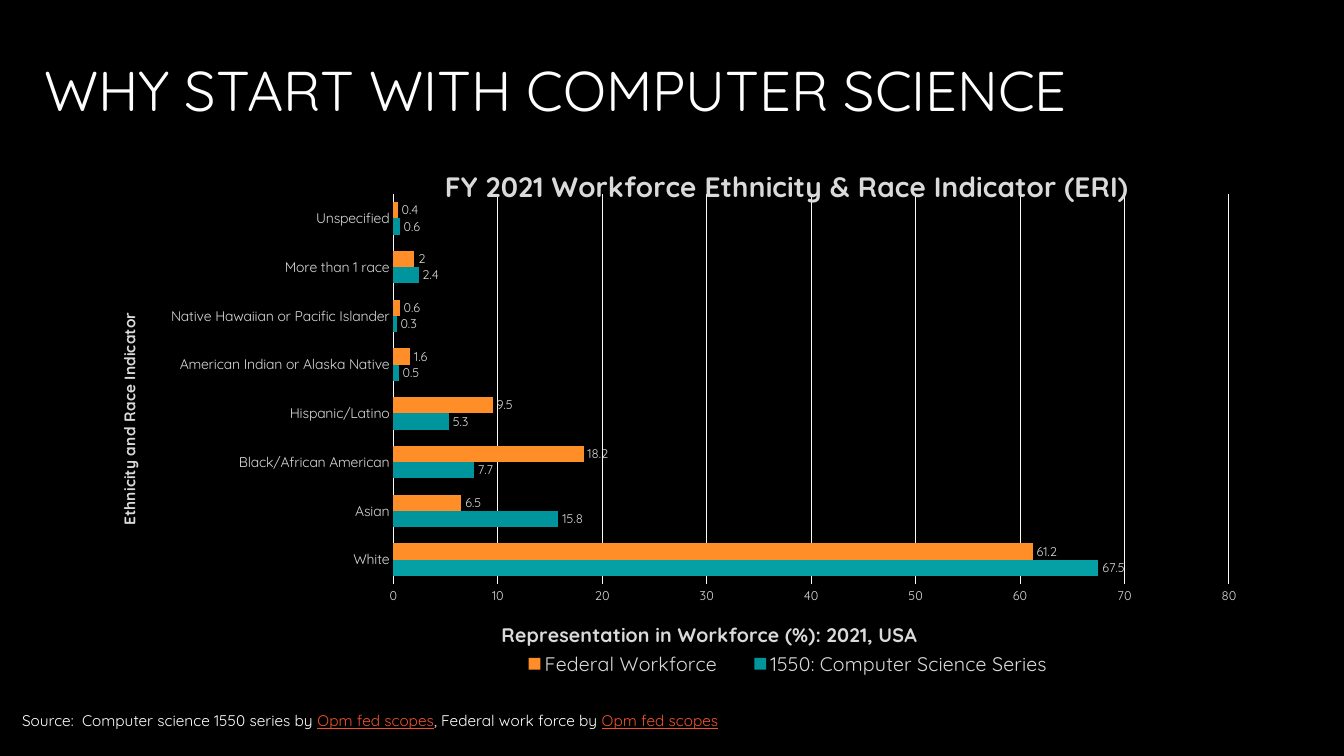
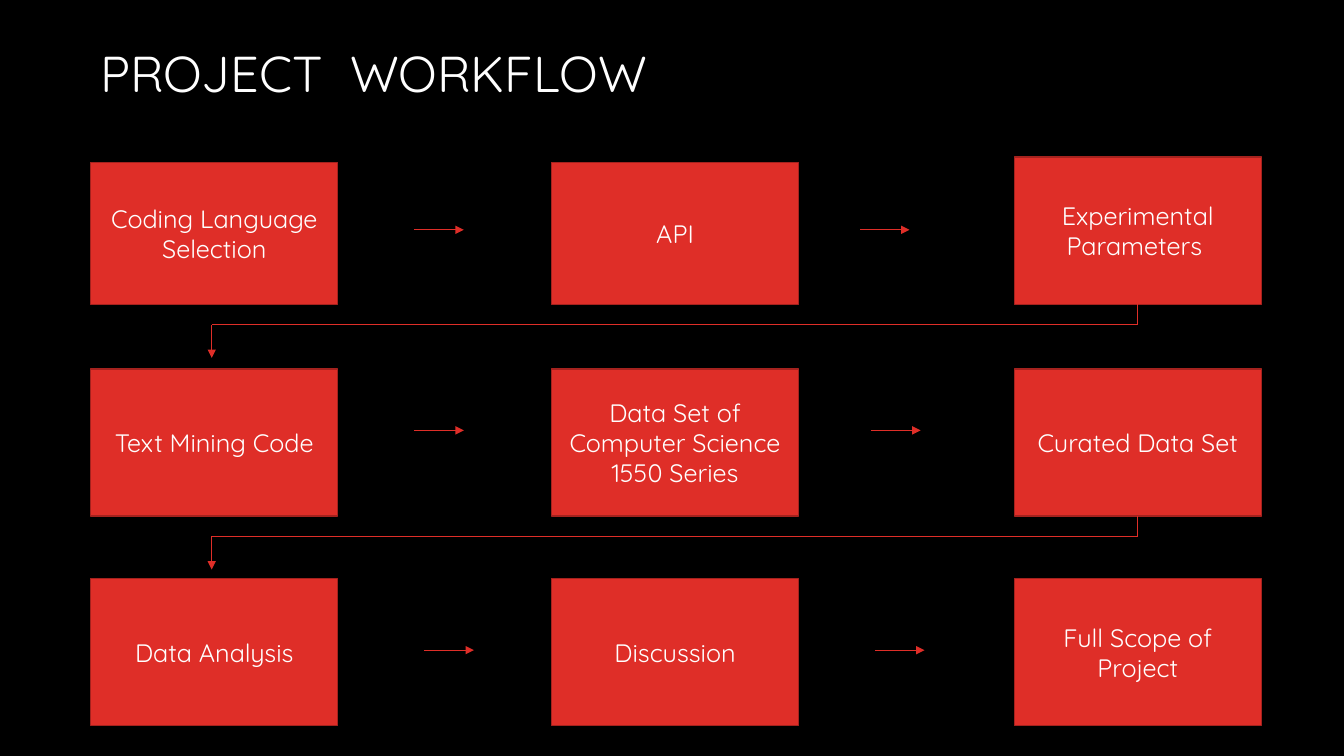
from dataclasses import dataclass

from pptx import Presentation
from pptx.chart.data import CategoryChartData
from pptx.dml.color import RGBColor as RGB
from pptx.enum.chart import XL_CHART_TYPE as ChartType
from pptx.enum.chart import XL_LABEL_POSITION as LabelPosition
from pptx.enum.chart import XL_LEGEND_POSITION as LegendPosition
from pptx.enum.chart import XL_TICK_MARK as TickMark
from pptx.enum.shapes import MSO_CONNECTOR as Connector
from pptx.enum.shapes import MSO_SHAPE as Shape
from pptx.enum.text import MSO_ANCHOR as Anchor
from pptx.enum.text import PP_ALIGN as Align
from pptx.oxml import parse_xml
from pptx.oxml.ns import nsdecls, qn
from pptx.util import Inches, Pt


@dataclass(frozen=True)
class Theme:
    font: str = "Quicksand"
    background: str = "000000"
    text: str = "FFFFFF"
    link: str = "F0532B"
    box: str = "DF2E28"
    box_edge: str = "A5221E"
    chart_text: str = "DADADA"
    grid: str = "F9F9F9"
    series: str = "00959C"
    series_accent: str = "05A0A6"
    federal: str = "FF8E28"
    title_size: float = 40
    subtitle_size: float = 36
    chart_title_size: float = 20
    box_size: float = 18
    legend_size: float = 14
    source_size: float = 11
    label_size: float = 10
    value_size: float = 9
    thin: float = 0.75


THEME = Theme()

# Chart content
CATEGORIES = [
    "White", "Asian", "Black/African American", "Hispanic/Latino",
    "American Indian or Alaska Native", "Native Hawaiian or Pacific Islander",
    "More than 1 race", "Unspecified",
]
SERIES = [
    ("1550: Computer Science Series", THEME.series,
     [67.5, 15.8, 7.7, 5.3, 0.5, 0.3, 2.4, 0.6]),
    ("Federal Workforce", THEME.federal,
     [61.2, 6.5, 18.2, 9.5, 1.6, 0.6, 2, 0.4]),
]

# Workflow content: row bottom, arrow height, arrow starts, (label, box height)
COLUMNS = [0.9, 5.47, 10.06]
BOX_WIDTH = 2.45
ARROW_LENGTH = 0.49
WORKFLOW = [
    (3.02, 2.28, [4.11, 8.53],
     [("Coding Language Selection", 1.41), ("API", 1.41),
      ("Experimental Parameters ", 1.46)]),
    (5.12, 4.27, [4.11, 8.64],
     [("Text Mining Code", 1.46),
      ("Data Set of Computer Science 1550 Series", 1.46),
      ("Curated Data Set", 1.46)]),
    (7.2, 6.45, [4.21, 8.68],
     [("Data Analysis", 1.46), ("Discussion", 1.46),
      ("Full Scope of Project", 1.46)]),
]


def set_values(target, values):
    for name, value in values.items():
        setattr(target, name, value)


def style_font(font, size, color, **extra):
    set_values(font, {"name": THEME.font, "size": Pt(size), **extra})
    font.color.rgb = RGB.from_string(color)


def style_fill(fill, color):
    fill.solid()
    fill.fore_color.rgb = RGB.from_string(color)


def style_line(line, color, width=THEME.thin):
    line.color.rgb = RGB.from_string(color)
    line.width = Pt(width)


def add_page(deck):
    page = deck.slides.add_slide(deck.slide_layouts[6])
    style_fill(page.background.fill, THEME.background)
    return page


def add_text(page, area, spans, size, **para_values):
    """Add a one-paragraph text box; spans are (text, color, underline)."""
    box = page.shapes.add_textbox(*map(Inches, area))
    set_values(box.text_frame, {
        "word_wrap": True, "vertical_anchor": Anchor.MIDDLE})
    para = box.text_frame.paragraphs[0]
    set_values(para, para_values)
    for text, color, underline in spans:
        span = para.add_run()
        span.text = text
        style_font(span.font, size, color, underline=underline)


def add_title(page, text, area, size, **para_values):
    add_text(page, area, [(text, THEME.text, False)], size, **para_values)


# Chart parts
def place(element, index, x, y, width=None, height=None, inner=False):
    """Fix a chart part at fractions of the chart area."""
    for old in element.findall(qn("c:layout")):
        element.remove(old)
    values = {"xMode": "edge", "yMode": "edge", "x": x, "y": y}
    if inner:
        values = {"layoutTarget": "inner", **values}
    if width:
        values.update(w=width, h=height)
    parts = "".join(f'<c:{tag} val="{val}"/>' for tag, val in values.items())
    element.insert(index, parse_xml(
        f"<c:layout {nsdecls('c')}><c:manualLayout>{parts}"
        "</c:manualLayout></c:layout>"))


def title_chart_part(title, text, size, x, y):
    title.text_frame.text = text
    span = title.text_frame.paragraphs[0].runs[0]
    style_font(span.font, size, THEME.chart_text, bold=True)
    place(title._element, 1, x, y)


def style_axis(axis, size):
    set_values(axis, {
        "major_tick_mark": TickMark.NONE, "minor_tick_mark": TickMark.NONE})
    style_font(axis.tick_labels.font, size, THEME.chart_text)


def style_series(series, color):
    style_fill(series.format.fill, color)
    series.invert_if_negative = False
    labels = series.data_labels
    set_values(labels, {
        "show_value": True, "position": LabelPosition.OUTSIDE_END})
    style_font(labels.font, THEME.value_size, THEME.chart_text)


def add_workforce_chart(page):
    data = CategoryChartData()
    data.categories = CATEGORIES
    for name, _, values in SERIES:
        data.add_series(name, values)
    area = map(Inches, (0.91, 1.38, 11.51, 5.45))
    chart = page.shapes.add_chart(ChartType.BAR_CLUSTERED, *area, data).chart
    style_font(chart.font, THEME.label_size, THEME.text)
    title_chart_part(
        chart.chart_title, "FY 2021 Workforce Ethnicity & Race Indicator (ERI)",
        THEME.chart_title_size, 0.3, 0.04)

    # Bars
    plot = chart.plots[0]
    set_values(plot, {"gap_width": 100, "overlap": 0, "vary_by_categories": False})
    for series, (_, color, _) in zip(plot.series, SERIES):
        style_series(series, color)
    style_fill(plot.series[0].points[0].format.fill, THEME.series_accent)
    plot_area = chart._chartSpace.chart.plotArea
    place(plot_area, 0, 0.26, 0.1, 0.72, 0.71, inner=True)

    # Axes
    groups, share = chart.category_axis, chart.value_axis
    style_axis(groups, THEME.label_size)
    style_line(groups.format.line, THEME.grid)
    title_chart_part(groups.axis_title, "Ethnicity and Race Indicator",
                     THEME.source_size, 0.02, 0.31)
    style_axis(share, THEME.value_size)
    set_values(share, {"minimum_scale": 0, "maximum_scale": 80, "major_unit": 10})
    share.format.line.fill.background()
    style_line(share.major_gridlines.format.line, THEME.grid)
    title_chart_part(share.axis_title, "Representation in Workforce (%): 2021, USA",
                     THEME.legend_size, 0.35, 0.87)

    # Legend
    chart.has_legend = True
    set_values(chart.legend, {
        "position": LegendPosition.BOTTOM, "include_in_layout": False})
    style_font(chart.legend.font, THEME.legend_size, THEME.chart_text)
    place(chart.legend._element, 1, 0.35, 0.92, 0.5, 0.07)


# Workflow parts
def add_box(page, text, left, top, height):
    box = page.shapes.add_shape(
        Shape.RECTANGLE, *map(Inches, (left, top, BOX_WIDTH, height)))
    box.shadow.inherit = False
    style_fill(box.fill, THEME.box)
    style_line(box.line, THEME.box_edge, 1)
    set_values(box.text_frame, {
        "word_wrap": True, "vertical_anchor": Anchor.MIDDLE})
    para = box.text_frame.paragraphs[0]
    para.alignment = Align.CENTER
    span = para.add_run()
    span.text = text
    style_font(span.font, THEME.box_size, THEME.text)


def add_line(page, start, end, arrow=False):
    line = page.shapes.add_connector(
        Connector.STRAIGHT, *map(Inches, (*start, *end)))
    style_line(line.line, THEME.box)
    if arrow:
        line.line._get_or_add_ln().append(
            parse_xml(f'<a:tailEnd {nsdecls("a")} type="triangle"/>'))
    line._element.spPr.append(parse_xml(f'<a:effectLst {nsdecls("a")}/>'))


def add_return_path(page, bottom):
    """Lead from the last box of a row back to the first box of the next."""
    right, left = COLUMNS[-1] + BOX_WIDTH / 2, 2.1
    turn = bottom + 0.2
    add_line(page, (right, bottom), (right, turn))
    add_line(page, (right, turn), (left, turn))
    add_line(page, (left, turn), (left, bottom + 0.53), arrow=True)


# Slides
def build_workforce_page(deck):
    page = add_page(deck)
    add_title(page, "WHY START WITH COMPUTER SCIENCE",
              (0.34, 0.22, 12.17, 1.41), THEME.title_size, line_spacing=0.9)
    add_workforce_chart(page)
    link = ("Opm fed scopes", THEME.link, True)
    add_text(page, (0.12, 7, 12.75, 0.29), [
        ("Source:  Computer science 1550 series by ", THEME.text, False), link,
        (", Federal work force by ", THEME.text, False), link,
    ], THEME.source_size)


def build_workflow_page(deck):
    page = add_page(deck)
    add_title(page, "PROJECT  WORKFLOW", (0.9, 0.36, 11.3, 0.71),
              THEME.subtitle_size)
    for bottom, arrow_y, arrow_starts, boxes in WORKFLOW:
        for left, (text, height) in zip(COLUMNS, boxes):
            add_box(page, text, left, bottom - height, height)
        for start in arrow_starts:
            add_line(page, (start, arrow_y), (start + ARROW_LENGTH, arrow_y),
                     arrow=True)
    for bottom, *_ in WORKFLOW[:-1]:
        add_return_path(page, bottom)


def main():
    deck = Presentation()
    set_values(deck, {"slide_width": Inches(13.33), "slide_height": Inches(7.5)})
    build_workforce_page(deck)
    build_workflow_page(deck)
    deck.save("out.pptx")


if __name__ == "__main__":
    main()
